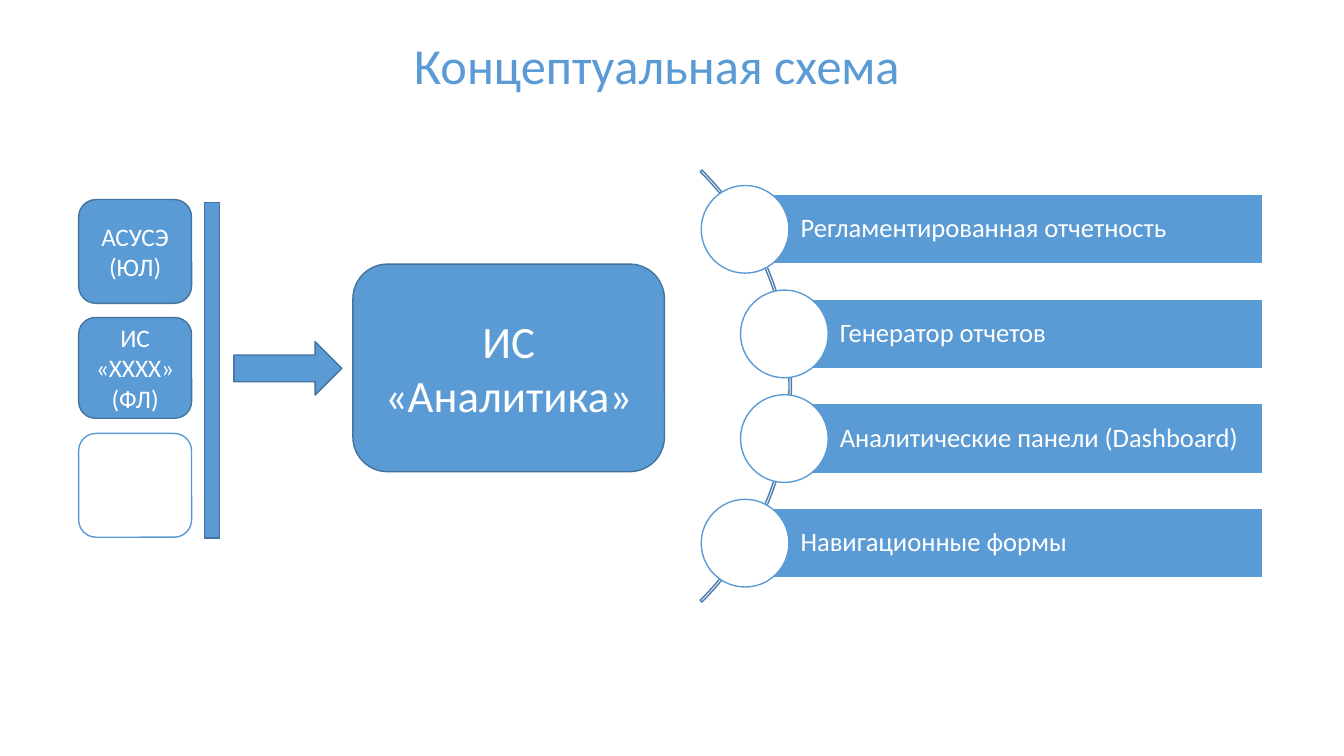
import dataclasses

import pptx
import pptx.dml.color
import pptx.enum.shapes
import pptx.enum.text
import pptx.util

Inches = pptx.util.Inches
Pt = pptx.util.Pt
SHAPE = pptx.enum.shapes.MSO_SHAPE
ALIGN = pptx.enum.text.PP_ALIGN
ANCHOR = pptx.enum.text.MSO_ANCHOR


@dataclasses.dataclass(frozen=True)
class Theme:
    font: str = "Calibri"
    blue: str = "5B9BD5"
    dark_blue: str = "43739E"
    arc_blue: str = "497CAB"
    white: str = "FFFFFF"
    title_size: int = 36
    system_size: int = 32
    output_size: int = 19
    source_size: int = 18
    line_width: int = 1


THEME = Theme()
OUTPUTS_RIGHT = 12.52
CIRCLE_SIZE = 0.87
BAR_HEIGHT = 0.69


def color(value):
    return pptx.dml.color.RGBColor.from_string(value)


def write_text(box, text, *, size, ink=THEME.white, align=ALIGN.CENTER,
               anchor=ANCHOR.MIDDLE, left_inset=0.1, inset=0.05, spacing=None):
    frame = box.text_frame
    frame.word_wrap = True
    frame.auto_size = pptx.enum.text.MSO_AUTO_SIZE.NONE
    frame.vertical_anchor = anchor
    frame.margin_left = Inches(left_inset)
    frame.margin_right = Inches(0.05 if left_inset > 0.1 else 0.1)
    frame.margin_top = frame.margin_bottom = Inches(inset)
    para = frame.paragraphs[0]
    para.alignment = align
    para.line_spacing = spacing
    span = para.add_run()
    span.text = text
    span.font.name = THEME.font
    span.font.size = Pt(size)
    span.font.color.rgb = color(ink)


def add_box(shapes, kind, left, top, width, height, *,
            fill=THEME.blue, line=THEME.dark_blue):
    box = shapes.add_shape(kind, Inches(left), Inches(top),
                           Inches(width), Inches(height))
    box.shadow.inherit = False
    if fill:
        box.fill.solid()
        box.fill.fore_color.rgb = color(fill)
    else:
        box.fill.background()
    box.line.color.rgb = color(line)
    box.line.width = Pt(THEME.line_width)
    return box


def add_title(page, text):
    title = page.shapes.title
    title.left, title.top = Inches(3.2), Inches(0.29)
    title.width, title.height = Inches(6.63), Inches(0.71)
    write_text(title, text, size=THEME.title_size, ink=THEME.blue,
               anchor=ANCHOR.TOP)


def add_sources(shapes):
    left, width = 0.78, 1.12
    for text, top, height in (("АСУСЭ (ЮЛ)", 1.98, 1.03),
                              ("ИС «XXXX» (ФЛ)", 3.15, 1)):
        source = add_box(shapes, SHAPE.ROUNDED_RECTANGLE, left, top, width, height)
        write_text(source, text, size=THEME.source_size)
    add_box(shapes, SHAPE.ROUNDED_RECTANGLE, left, 4.3, width, 1.03,
            fill=THEME.white, line=THEME.blue)
    add_box(shapes, SHAPE.RECTANGLE, 2.03, 2.01, 0.15, 3.33)


def add_system(shapes):
    add_box(shapes, SHAPE.RIGHT_ARROW, 2.32, 3.39, 1.07, 0.53)
    system = add_box(shapes, SHAPE.ROUNDED_RECTANGLE, 3.5, 2.62, 3.09, 2.06)
    write_text(system, "ИС «Аналитика»", size=THEME.system_size)


def add_output(shapes, text, left, middle):
    bar = add_box(shapes, SHAPE.RECTANGLE, left, middle - BAR_HEIGHT / 2,
                  OUTPUTS_RIGHT - left, BAR_HEIGHT, line=THEME.white)
    write_text(bar, text, size=THEME.output_size, align=ALIGN.LEFT,
               left_inset=0.55, spacing=0.9)
    add_box(shapes, SHAPE.OVAL, left - CIRCLE_SIZE / 2, middle - CIRCLE_SIZE / 2,
            CIRCLE_SIZE, CIRCLE_SIZE, fill=THEME.white, line=THEME.blue)


def add_outputs(shapes):
    # Thin arc from 315 to 45 degrees, behind the bars
    arc = add_box(shapes, SHAPE.BLOCK_ARC, 1.79, 0.8, 6.06, 6.06,
                  fill=None, line=THEME.arc_blue)
    for index, value in enumerate((189, 27, 0.004)):
        arc.adjustments[index] = value

    # Bars at equal steps, the inner two further along the arc
    outputs = (("Регламентированная отчетность", 7.39),
               ("Генератор отчетов", 7.78),
               ("Аналитические панели (Dashboard)", 7.78),
               ("Навигационные формы", 7.39))
    for index, (text, left) in enumerate(outputs):
        add_output(shapes, text, left, 2.275 + 1.038 * index)


def main():
    deck = pptx.Presentation()
    deck.slide_width, deck.slide_height = Inches(13.33), Inches(7.5)
    page = deck.slides.add_slide(deck.slide_layouts.get_by_name("Title Only"))
    add_title(page, "Концептуальная схема")
    add_sources(page.shapes)
    add_outputs(page.shapes.add_group_shape().shapes)
    add_system(page.shapes)
    deck.save("out.pptx")


if __name__ == "__main__":
    main()
